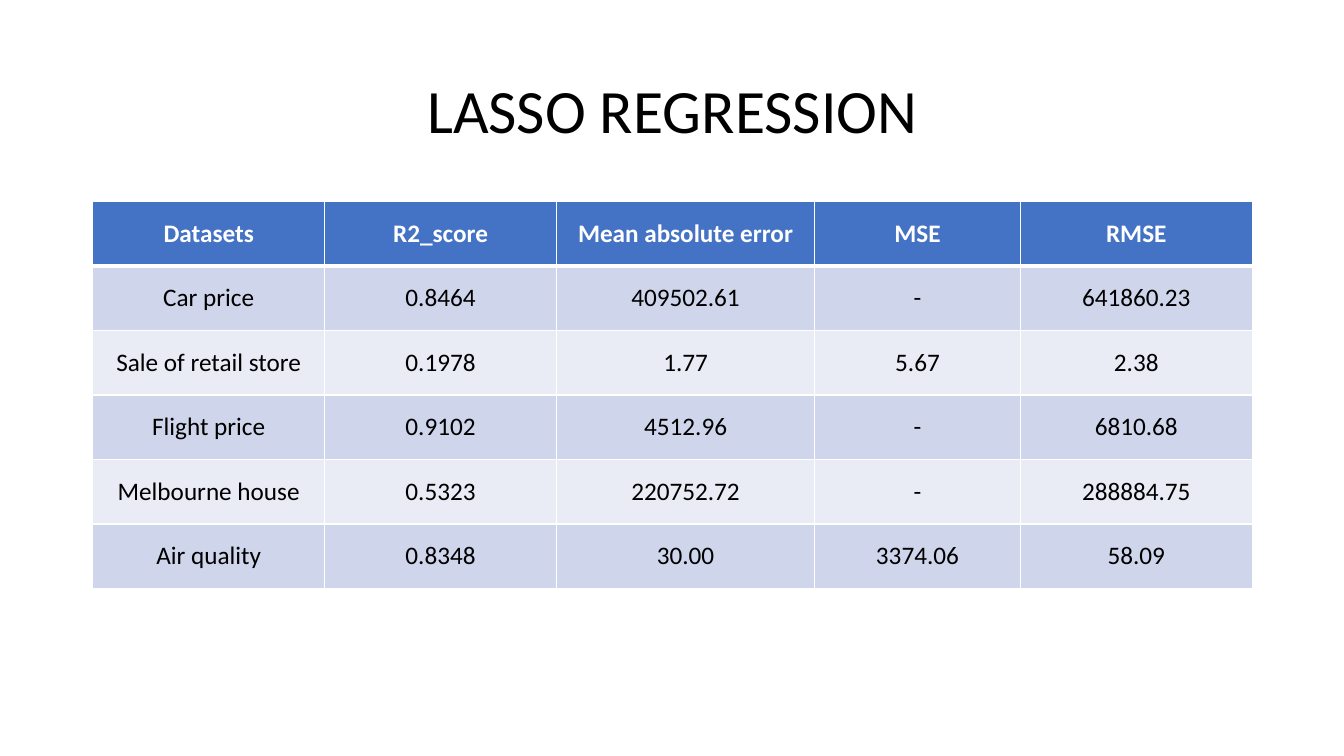
from lxml import etree
from pptx import Presentation
from pptx.dml.color import RGBColor
from pptx.enum.text import MSO_ANCHOR, PP_ALIGN
from pptx.oxml.ns import qn
from pptx.util import Inches, Pt

CENTER = PP_ALIGN.CENTER
MIDDLE = MSO_ANCHOR.MIDDLE
FONT = "Calibri"
BLACK, WHITE = "000000", "FFFFFF"
HEADER_FILL = "4472C4"
BAND_FILLS = ("E9EBF5", "CFD5EA")
COLUMN_WIDTHS = (2.3, 2.3, 2.56, 2.04, 2.3)
ROW_HEIGHT = 0.64
SCORES = (
    ("Datasets", "R2_score", "Mean absolute error", "MSE", "RMSE"),
    ("Car price", "0.8464", "409502.61", "-", "641860.23"),
    ("Sale of retail store", "0.1978", "1.77", "5.67", "2.38"),
    ("Flight price", "0.9102", "4512.96", "-", "6810.68"),
    ("Melbourne house", "0.5323", "220752.72", "-", "288884.75"),
    ("Air quality", "0.8348", "30.00", "3374.06", "58.09"),
)


def rgb(value):
    """Turn a hex string into a colour."""
    return RGBColor.from_string(value)


def format_paragraph(paragraph, size, color, bold=False):
    """Centre a paragraph and set its font."""
    paragraph.alignment = CENTER
    paragraph.font.name = FONT
    paragraph.font.size = Pt(size)
    paragraph.font.bold = bold
    paragraph.font.color.rgb = rgb(color)


def set_borders(cell, top, bottom):
    """Draw white borders around a cell, with widths in points."""
    properties = cell._tc.get_or_add_tcPr()
    for side, width in (("L", 1), ("R", 1), ("T", top), ("B", bottom)):
        border = etree.SubElement(properties, qn(f"a:ln{side}"), w=str(Pt(width)))
        fill = etree.SubElement(border, qn("a:solidFill"))
        etree.SubElement(fill, qn("a:srgbClr"), val=WHITE)


def fill_cell(cell, text, row):
    """Write and style one cell according to its row."""
    header = row == 0
    cell.text = text
    cell.vertical_anchor = MIDDLE
    format_paragraph(cell.text_frame.paragraphs[0], 18,
                     WHITE if header else BLACK, header)
    set_borders(cell, 3 if row == 1 else 1, 3 if header else 1)
    cell.fill.solid()
    cell.fill.fore_color.rgb = rgb(HEADER_FILL if header else BAND_FILLS[row % 2])


def add_title(slide, text):
    """Place and format the slide title."""
    title = slide.shapes.title
    title.left, title.top = Inches(0.92), Inches(0.4)
    title.width, title.height = Inches(11.5), Inches(1.45)
    title.text_frame.text = text
    title.text_frame.vertical_anchor = MIDDLE
    heading = title.text_frame.paragraphs[0]
    heading.line_spacing = 0.9
    format_paragraph(heading, 44, BLACK)


def add_score_table(slide):
    """Add the table of scores for each dataset."""
    table = slide.shapes.add_table(
        len(SCORES), len(COLUMN_WIDTHS), Inches(0.92), Inches(2),
        Inches(sum(COLUMN_WIDTHS)), Inches(ROW_HEIGHT * len(SCORES))).table
    for column, width in zip(table.columns, COLUMN_WIDTHS):
        column.width = Inches(width)
    for row, values in enumerate(SCORES):
        table.rows[row].height = Inches(ROW_HEIGHT)
        for column, text in enumerate(values):
            fill_cell(table.cell(row, column), text, row)


def main():
    """Build and save the slide."""
    presentation = Presentation()
    presentation.slide_width = Inches(13.33)
    presentation.slide_height = Inches(7.5)
    slide = presentation.slides.add_slide(presentation.slide_layouts[5])
    add_title(slide, "LASSO REGRESSION")
    add_score_table(slide)
    presentation.save("out.pptx")


if __name__ == "__main__":
    main()
